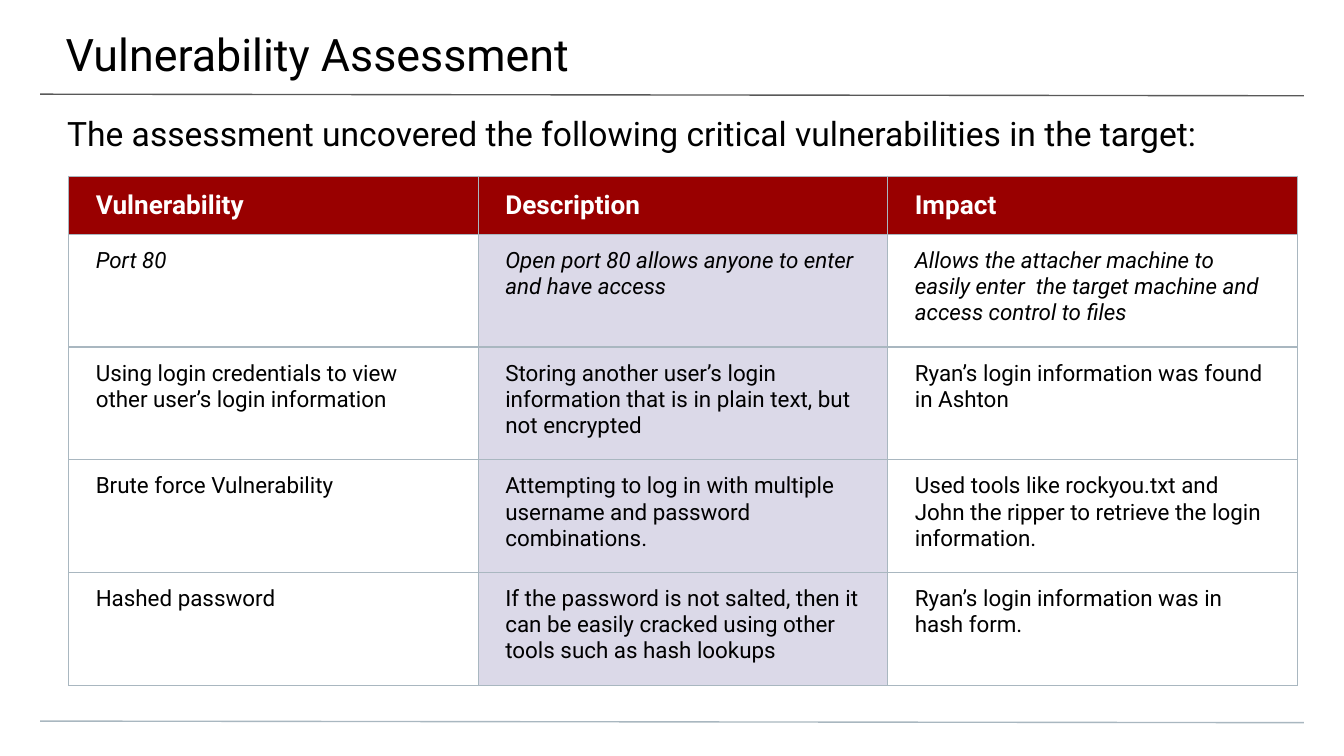
import pptx
import pptx.dml.color
import pptx.enum.shapes
import pptx.enum.text
import pptx.oxml
import pptx.oxml.ns
import pptx.util
from pptx.util import Cm

TITLE = "Vulnerability Assessment"
SUBTITLE = "The assessment uncovered the following critical vulnerabilities in the target:"
HEADINGS = ["Vulnerability", "Description", "Impact"]
FINDINGS = [
    ("Port 80",
     "Open port 80 allows anyone to enter and have access",
     "Allows the attacher machine to easily enter  the target machine and access control to files"),
    ("Using login credentials to view other user’s login information",
     "Storing another user’s login information that is in plain text, but not encrypted",
     "Ryan’s login information was found in Ashton"),
    ("Brute force Vulnerability",
     "Attempting to log in with multiple username and password combinations.",
     "Used tools like rockyou.txt and John the ripper to retrieve the login information."),
    ("Hashed password",
     "If the password is not salted, then it can be easily cracked using other tools such as hash lookups",
     "Ryan’s login information was in hash form."),
]
RULES = [(1.78, "595959"), (13.63, "A9B7C0")]
BLACK, WHITE, RED, LILAC, GRID = "000000", "FFFFFF", "990000", "DBD9E8", "A9B7C0"
COLUMN_WIDTH, HEADING_HEIGHT, FINDING_HEIGHT = 7.74, 1.1, 2.13


def color(value):
    return pptx.dml.color.RGBColor.from_string(value)


def write(frame, text, size, ink=BLACK, bold=False, italic=False):
    run = frame.paragraphs[0].add_run()
    run.text = text
    run.font.name = "Roboto"
    run.font.size = pptx.util.Pt(size)
    run.font.color.rgb = color(ink)
    run.font.bold = bold
    run.font.italic = italic


def set_margins(target, left, top, right, bottom):
    target.margin_left, target.margin_top = Cm(left), Cm(top)
    target.margin_right, target.margin_bottom = Cm(right), Cm(bottom)


def add_rule(slide, top, ink):
    rule = slide.shapes.add_connector(
        pptx.enum.shapes.MSO_CONNECTOR.STRAIGHT, Cm(0.76), Cm(top), Cm(24.64), Cm(top + 0.03))
    rule.line.color.rgb = color(ink)
    rule.line.width = pptx.util.Pt(0.75)
    rule._element.spPr.append(pptx.oxml.parse_xml(
        f'<a:effectLst {pptx.oxml.ns.nsdecls("a")}/>'))


def add_text(slide, text, size, top, height, margins):
    frame = slide.shapes.add_textbox(0, Cm(top), Cm(25.4), Cm(height)).text_frame
    frame.word_wrap = True
    set_margins(frame, *margins)
    write(frame, text, size)


def add_borders(cell):
    properties = cell._tc.get_or_add_tcPr()
    for side in "LRTB":
        properties.append(pptx.oxml.parse_xml(
            f'<a:ln{side} {pptx.oxml.ns.nsdecls("a")} w="9525"><a:solidFill>'
            f'<a:srgbClr val="{GRID}"/></a:solidFill></a:ln{side}>'))


def add_findings(slide):
    rows = [HEADINGS, *FINDINGS]
    heights = [HEADING_HEIGHT] + [FINDING_HEIGHT] * len(FINDINGS)
    table = slide.shapes.add_table(
        len(rows), len(HEADINGS), Cm(1.3), Cm(3.33),
        Cm(COLUMN_WIDTH * len(HEADINGS)), Cm(sum(heights))).table
    table.horz_banding = False
    table.first_row = False
    for column in table.columns:
        column.width = Cm(COLUMN_WIDTH)
    for r, (texts, height) in enumerate(zip(rows, heights)):
        table.rows[r].height = Cm(height)
        for c, text in enumerate(texts):
            cell = table.cell(r, c)
            set_margins(cell, 0.51, 0.25, 0.51, 0.25)
            add_borders(cell)
            fill = RED if r == 0 else LILAC if c == 1 else None
            if fill:
                cell.fill.solid()
                cell.fill.fore_color.rgb = color(fill)
            else:
                cell.fill.background()
            if r == 0:
                cell.vertical_anchor = pptx.enum.text.MSO_ANCHOR.MIDDLE
                write(cell.text_frame, text, 14, WHITE, bold=True)
            else:
                write(cell.text_frame, text, 12, italic=r == 1)


def main():
    deck = pptx.Presentation()
    deck.slide_width, deck.slide_height = Cm(25.4), Cm(14.29)
    slide = deck.slides.add_slide(deck.slide_layouts[6])
    for top, ink in RULES:
        add_rule(slide, top, ink)
    add_text(slide, TITLE, 24, 0, 1.47, (1.24, 0.51, 0.76, 0.25))
    add_text(slide, SUBTITLE, 18, 1.88, 1.02, (1.27, 0.25, 1.27, 0))
    add_findings(slide)
    deck.save("out.pptx")


if __name__ == "__main__":
    main()
